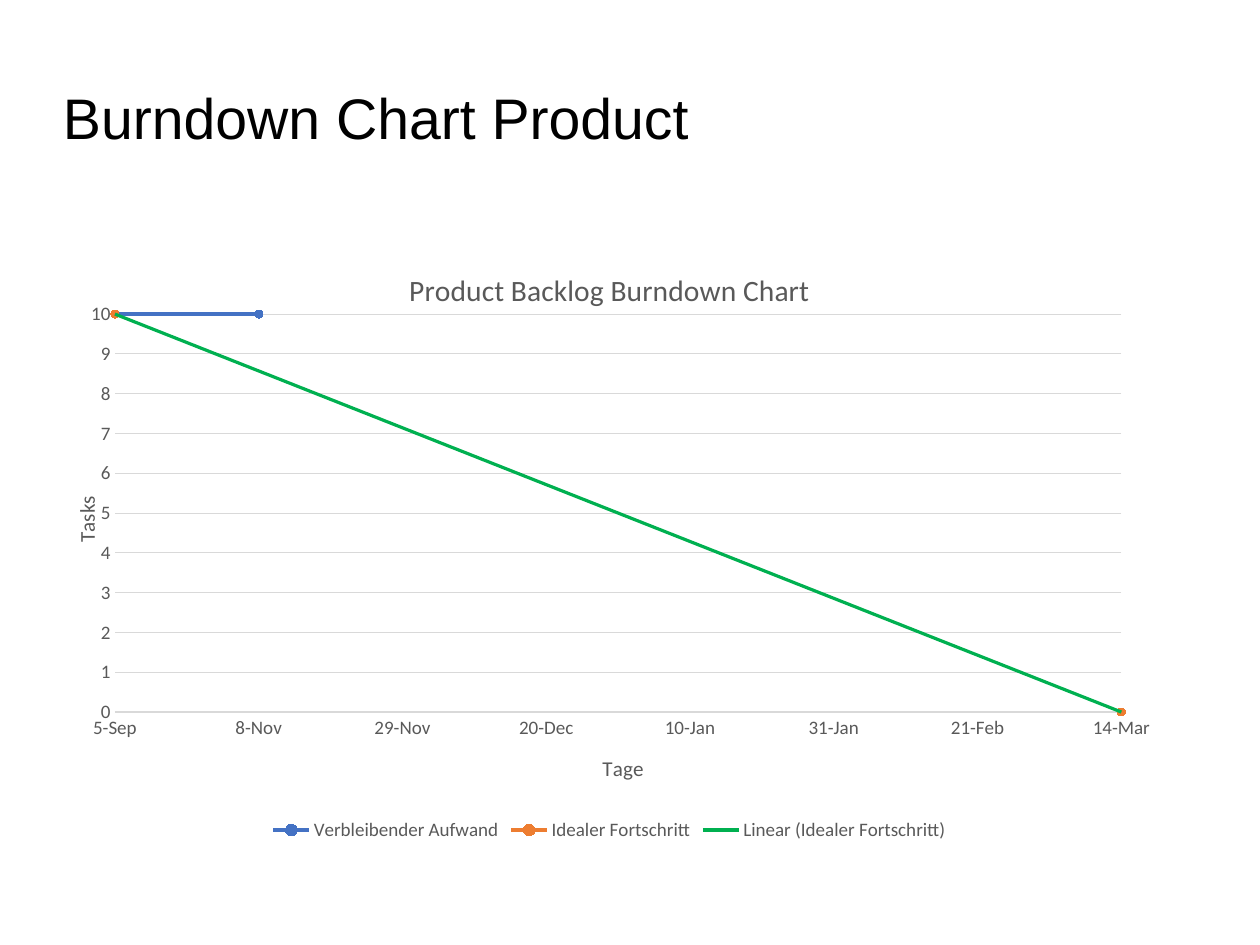
from lxml.etree import SubElement, fromstring
from pptx import Presentation
from pptx.chart.data import CategoryChartData
from pptx.dml.color import RGBColor
from pptx.enum.chart import XL_CHART_TYPE, XL_LEGEND_POSITION, XL_MARKER_STYLE, XL_TICK_MARK
from pptx.enum.text import MSO_ANCHOR
from pptx.oxml.ns import nsdecls, qn
from pptx.util import Cm, Pt

DAYS = ["5-Sep", "8-Nov", "29-Nov", "20-Dec", "10-Jan", "31-Jan", "21-Feb", "14-Mar"]
SERIES = {
    "Verbleibender Aufwand": ("4472C4", [10, 10] + [None] * 6),
    "Idealer Fortschritt": ("ED7D31", [10] + [None] * 6 + [0]),
}


def color(value):
    """Turn a hex string into a colour."""
    return RGBColor.from_string(value)


class BurndownSlide:
    """Hold the style and the current slide."""

    gray, grid, trend = "595959", "D9D9D9", "00B050"
    chart_font = "Calibri"

    def __init__(self, deck):
        """Add a blank page to the deck."""
        self.page = deck.slides.add_slide(deck.slide_layouts[6])

    def style_font(self, font, size, name=chart_font, shade=gray):
        """Apply size, typeface and colour to a font."""
        for key, value in {"size": Pt(size), "name": name, "bold": False}.items():
            setattr(font, key, value)
        font.color.rgb = color(shade)

    def style_line(self, line, shade, width):
        """Apply colour and width to a line."""
        line.color.rgb = color(shade)
        line.width = Pt(width)

    def heading(self, text, left, top, width, height):
        """Add the page heading."""
        box = self.page.shapes.add_textbox(Cm(left), Cm(top), Cm(width), Cm(height))
        frame = box.text_frame
        settings = {"word_wrap": True, "vertical_anchor": MSO_ANCHOR.MIDDLE}
        settings |= {f"margin_{side}": 0 for side in ("left", "top", "right", "bottom")}
        for key, value in settings.items():
            setattr(frame, key, value)
        span = frame.paragraphs[0].add_run()
        span.text = text
        self.style_font(span.font, 36, "Arial", "000000")

    def place(self, element, index, **fractions):
        """Set a manual layout in fractions of the chart."""
        for old in element.findall(qn("c:layout")):
            element.remove(old)
        layout = fromstring(f"<c:layout {nsdecls('c')}/>")
        manual = SubElement(layout, qn("c:manualLayout"))
        values = {"xMode": "edge", "yMode": "edge"} | fractions
        if "w" in fractions:
            values = {"layoutTarget": "inner"} | values
        for key, value in values.items():
            SubElement(manual, qn(f"c:{key}")).set("val", str(value))
        element.insert(index, layout)

    def label(self, title, text, size, x, y, rotation=0):
        """Write and place a chart or axis title."""
        frame = title.text_frame
        span = frame.paragraphs[0].add_run()
        span.text = text
        self.style_font(span.font, size)
        frame._txBody.bodyPr.set("rot", str(rotation * 60000))
        self.place(title._element, 1, x=x, y=y)

    def axes(self, chart):
        """Style both axes and the grid."""
        days, tasks = chart.category_axis, chart.value_axis
        for axis in (days, tasks):
            axis.major_tick_mark = axis.minor_tick_mark = XL_TICK_MARK.NONE
            self.style_font(axis.tick_labels.font, 12)
        self.style_line(days.format.line, self.grid, 0.75)
        tasks.format.line.fill.background()
        self.style_line(tasks.major_gridlines.format.line, self.grid, 0.75)
        element = tasks._element
        for old in element.findall(qn("c:crossBetween")):
            element.remove(old)
        between = fromstring(f'<c:crossBetween {nsdecls("c")} val="midCat"/>')
        element.find(qn("c:crosses")).addnext(between)
        for key, value in {"minimum_scale": 0, "maximum_scale": 10, "major_unit": 1}.items():
            setattr(tasks, key, value)
        self.label(days.axis_title, "Tage", 13.3, 0.49, 0.84)
        self.label(tasks.axis_title, "Tasks", 13.3, 0, 0.41, -90)

    def trend_line(self, series):
        """Add a linear trend line to a series."""
        line = fromstring(
            f'<c:trendline {nsdecls("c", "a")}><c:name>Linear ({series.name})</c:name>'
            f'<c:spPr><a:ln w="{Pt(2)}"><a:solidFill><a:srgbClr val="{self.trend}"/>'
            '</a:solidFill></a:ln></c:spPr><c:trendlineType val="linear"/>'
            '<c:dispRSqr val="0"/><c:dispEq val="0"/></c:trendline>')
        series._element.find(qn("c:cat")).addprevious(line)

    def burndown(self, left, top, width, height):
        """Add the burndown chart."""
        data = CategoryChartData()
        data.categories = DAYS
        for name, (_, values) in SERIES.items():
            data.add_series(name, values)
        chart = self.page.shapes.add_chart(
            XL_CHART_TYPE.LINE_MARKERS, Cm(left), Cm(top), Cm(width), Cm(height), data).chart
        self.style_font(chart.font, 10, shade="000000")
        chart.has_title = True
        self.label(chart.chart_title, "Product Backlog Burndown Chart", 18.6, 0.31, 0.03)
        self.axes(chart)
        plot = chart.plots[0]
        plot.vary_by_categories = False
        for series, (shade, _) in zip(plot.series, SERIES.values()):
            series.smooth = False
            self.style_line(series.format.line, shade, 2.25)
            marker = series.marker
            marker.style, marker.size = XL_MARKER_STYLE.CIRCLE, 5
            marker.format.fill.solid()
            marker.format.fill.fore_color.rgb = color(shade)
            self.style_line(marker.format.line, shade, 0.75)
        self.trend_line(plot.series[1])
        chart.has_legend = True
        chart.legend.position = XL_LEGEND_POSITION.BOTTOM
        chart.legend.include_in_layout = False
        self.style_font(chart.legend.font, 12)
        area = chart._chartSpace.find(f".//{qn('c:plotArea')}")
        self.place(area, 0, x=0.043, y=0.114, w=0.93, h=0.663)


def main():
    """Build and save the deck."""
    deck = Presentation()
    deck.slide_width, deck.slide_height = Cm(28), Cm(21)
    slide = BurndownSlide(deck)
    slide.heading("Burndown Chart Product", 1.4, 1.6, 20, 2)
    slide.burndown(1.52, 5.46, 24.05, 13.34)
    deck.save("out.pptx")


if __name__ == "__main__":
    main()
